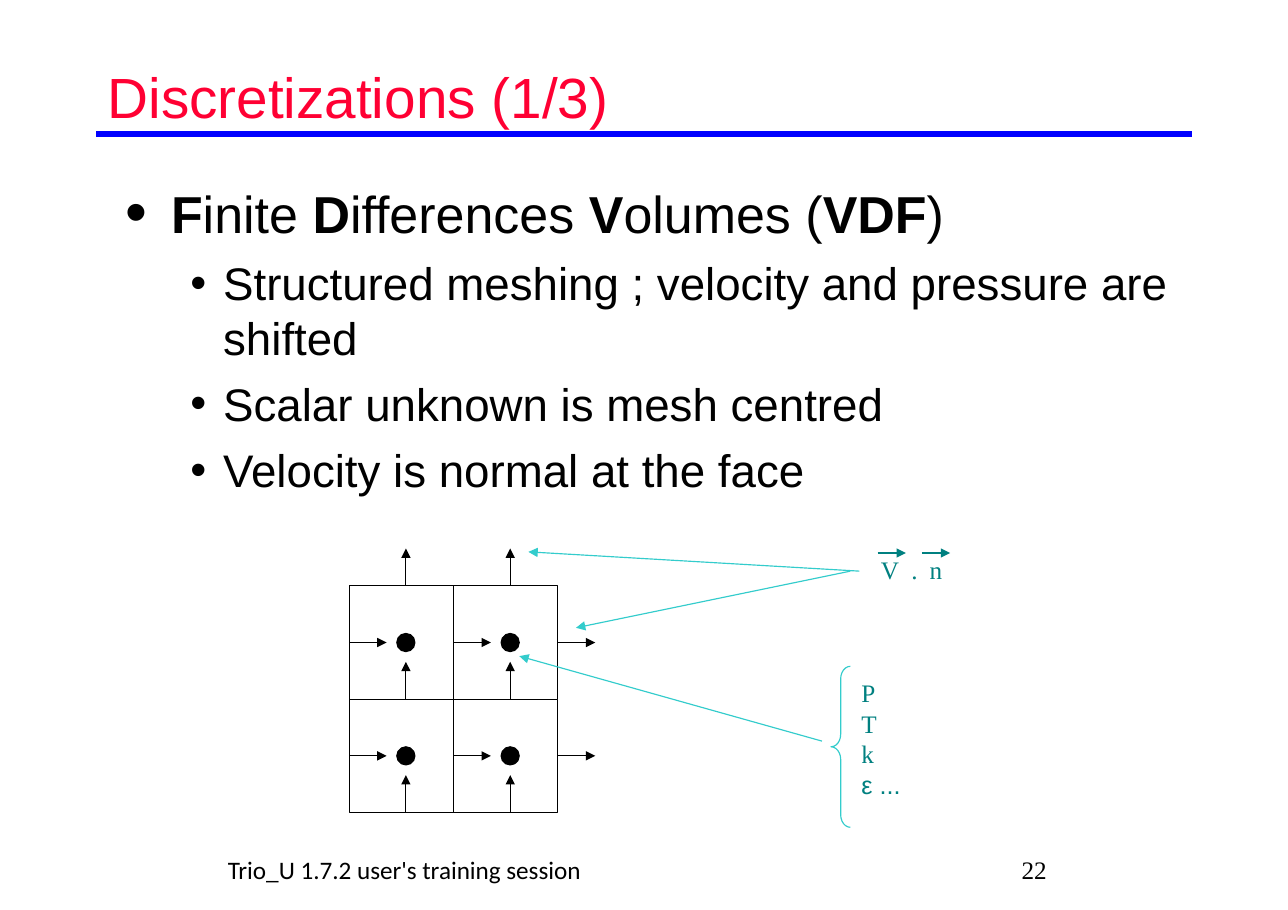
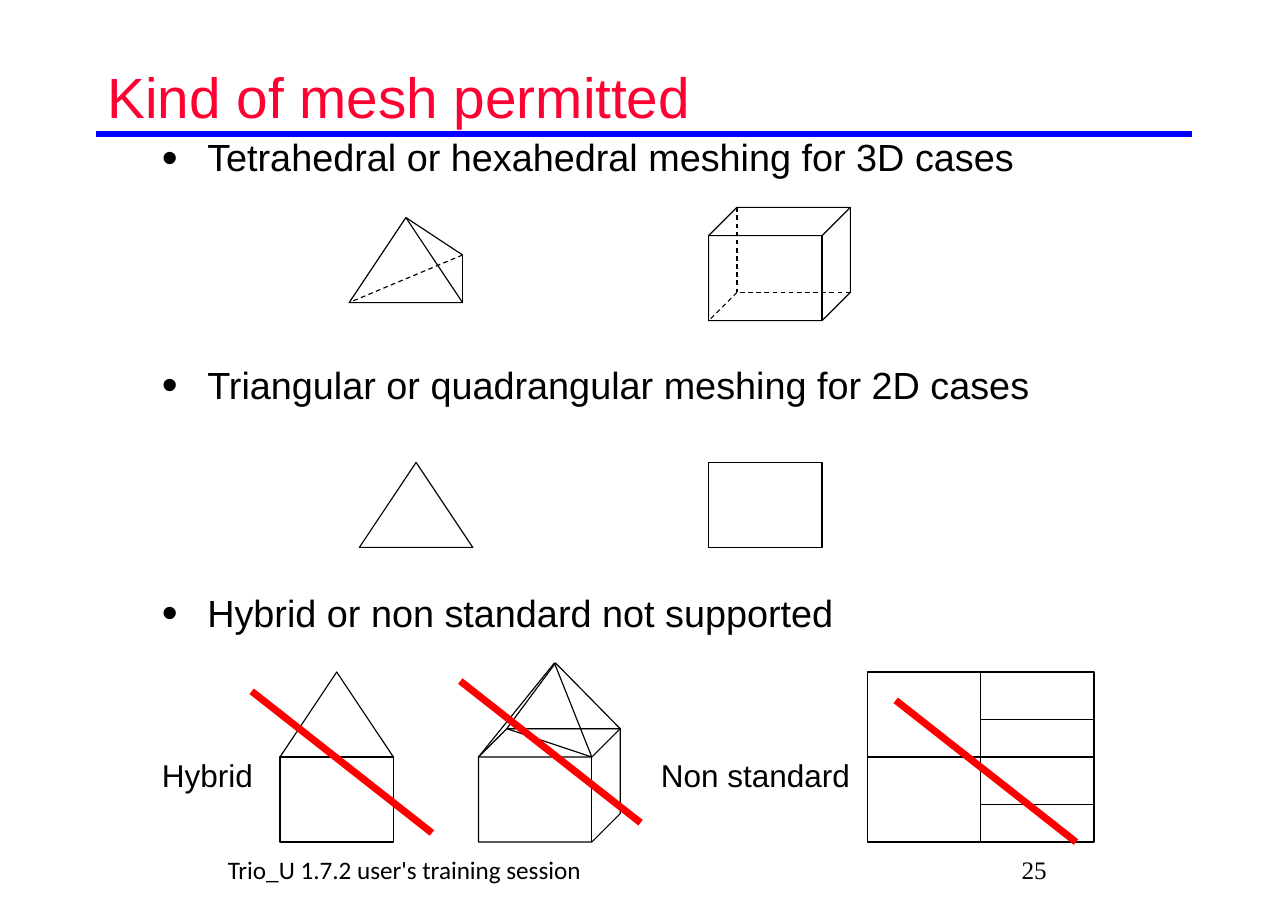
from lxml import etree
from pptx import Presentation
from pptx.dml.color import RGBColor
from pptx.enum import dml, shapes, text
from pptx.oxml.ns import qn
from pptx.util import Inches, Pt

HUES = dict(title="FF0033", rule="0000FF", ink="000000", paper="FFFFFF",
            aqua="33CCCC", teal="008080", strike="FF0000")
SANS, SERIF, FOOT = "Arial", "Times New Roman", "Calibri"
KIND = shapes.MSO_SHAPE
MID = text.MSO_ANCHOR.MIDDLE

FOOTER = "Trio_U 1.7.2 user's training session"
SCHEME = [("F", True), ("inite ", False), ("D", True), ("ifferences ", False),
          ("V", True), ("olumes (", False), ("VDF", True), (")", False)]
POINTS = ["Structured meshing ; velocity and pressure are shifted",
          "Scalar unknown is mesh centred",
          "Velocity is normal at the face"]
SCALARS = [("P", SERIF), ("T", SERIF), ("k", SERIF), ("ε ...", SANS)]
MESHES = ["Tetrahedral or hexahedral meshing for 3D cases",
          "Triangular or quadrangular meshing for 2D cases",
          "Hybrid or non standard not supported"]
LABELS = [("Hybrid", 1.33), ("Non standard", 5.73)]

# Arrows from the labels to the mesh: start, end, colour
LINKS = [((7.25, 6.54), (4.58, 5.79), "aqua"),
         ((7.58, 5.04), (4.66, 4.87), "aqua"),
         ((7.5, 5.04), (5.08, 5.54), "aqua"),
         ((7.74, 4.88), (7.99, 4.88), "teal"),
         ((8.13, 4.88), (8.38, 4.88), "teal")]

# Outlines: kind, left, top, width, height, adjustment
OUTLINES = [
    (KIND.ISOSCELES_TRIANGLE, 3.08, 1.92, 1, 0.75, 0.5),
    (KIND.CUBE, 6.25, 1.83, 1.25, 1, 0.25),
    (KIND.ISOSCELES_TRIANGLE, 3.17, 4.08, 1, 0.75, 0.5),
    (KIND.RECTANGLE, 6.25, 4.08, 1, 0.75, None),
    (KIND.RECTANGLE, 2.47, 6.68, 1, 0.75, None),
    (KIND.ISOSCELES_TRIANGLE, 2.47, 5.93, 1, 0.75, 0.5),
    (KIND.CUBE, 4.22, 6.43, 1.25, 1, 0.25),
    (KIND.ISOSCELES_TRIANGLE, 4.47, 5.85, 1, 0.58, 0.43),
    (KIND.RECTANGLE, 7.65, 5.93, 1, 0.75, None),
    (KIND.RECTANGLE, 7.65, 6.68, 1, 0.75, None),
    (KIND.RECTANGLE, 8.65, 5.93, 1, 0.75, None),
    (KIND.RECTANGLE, 8.65, 6.35, 1, 0.75, None),
    (KIND.RECTANGLE, 8.65, 6.68, 1, 0.75, None),
]
# Edges: start, end, hidden
EDGES = [
    ((3.58, 1.92), (4.08, 2.25), False),
    ((4.08, 2.25), (4.08, 2.67), False),
    ((4.08, 2.25), (3.08, 2.67), True),
    ((6.5, 1.83), (6.5, 2.58), True),
    ((6.5, 2.58), (6.25, 2.83), True),
    ((7.5, 2.58), (6.5, 2.58), True),
    ((4.47, 6.43), (5.22, 6.68), False),
    ((4.89, 5.85), (5.22, 6.68), False),
    ((4.89, 5.85), (4.22, 6.68), False),
]
STRIKES = [(2.22, 6.1), (4.06, 6.01), (7.9, 6.18)]


def hue(name):
    return RGBColor.from_string(HUES[name])


def add_line(slide, start, end, color="ink", width=0.75, arrow=False, dash=False):
    line = slide.shapes.add_connector(
        shapes.MSO_CONNECTOR.STRAIGHT, *map(Inches, (*start, *end)))
    line.line.color.rgb = hue(color)
    line.line.width = Pt(width)
    if dash:
        line.line.dash_style = dml.MSO_LINE.DASH
    if arrow:
        etree.SubElement(line.line._get_or_add_ln(), qn("a:tailEnd"), type="triangle")
    etree.SubElement(line._element.spPr, qn("a:effectLst"))


def add_form(slide, kind, box, color="ink", fill=None, adjust=()):
    form = slide.shapes.add_shape(kind, *map(Inches, box))
    form.shadow.inherit = False
    form.line.color.rgb = hue(color)
    form.line.width = Pt(0.75)
    if fill:
        form.fill.solid()
        form.fill.fore_color.rgb = hue(fill)
    else:
        form.fill.background()
    for i, value in enumerate(adjust):
        form.adjustments[i] = value


def add_box(slide, box, anchor=text.MSO_ANCHOR.TOP, pad=(0.1, 0.05)):
    frame = slide.shapes.add_textbox(*map(Inches, box)).text_frame
    frame.word_wrap = True
    frame.vertical_anchor = anchor
    frame.margin_left = frame.margin_right = Inches(pad[0])
    frame.margin_top = frame.margin_bottom = Inches(pad[1])
    return frame


def add_para(frame, runs, size, font=SANS, color="ink", before=0, lines=None,
             bullet=None, tabs=()):
    """Fill the empty first paragraph or add one; bullet is (margin, hang, percent)."""
    first = not frame.paragraphs[0].runs
    para = frame.paragraphs[0] if first else frame.add_paragraph()
    props = para._p.get_or_add_pPr()
    if bullet:
        margin, hang, scale = bullet
        props.set("marL", str(Inches(margin)))
        props.set("indent", str(-Inches(hang)))
        tint = etree.SubElement(props, qn("a:buClr"))
        etree.SubElement(tint, qn("a:srgbClr"), val=HUES["ink"])
        etree.SubElement(props, qn("a:buSzPct"), val=str(scale * 1000))
        etree.SubElement(props, qn("a:buFont"), typeface=SANS)
        etree.SubElement(props, qn("a:buChar"), char="•")
    if tabs:
        stops = etree.SubElement(props, qn("a:tabLst"))
        for stop in tabs:
            etree.SubElement(stops, qn("a:tab"), pos=str(Inches(stop)), algn="l")
    if before and not first:
        para.space_before = Pt(before)
    if lines:
        para.line_spacing = lines
    para.font.size = Pt(size)
    para.font.name = font
    para.font.color.rgb = hue(color)
    for words, bold in [(runs, None)] if isinstance(runs, str) else runs:
        run = para.add_run()
        run.text = words
        if bold:
            run.font.bold = True


def add_page(deck, title, number):
    """Add a slide with the shared title, rule and footer."""
    slide = deck.slides.add_slide(deck.slide_layouts[6])
    add_para(add_box(slide, (0.85, 0.27, 9.65, 1.16), MID), title, 36, color="title")
    add_line(slide, (0.85, 1.18), (10.51, 1.18), "rule", 4)
    for words, left, width, font in [(FOOTER, 1.9, 7.1, FOOT),
                                     (str(number), 8.9, 2.3, SERIF)]:
        frame = add_box(slide, (left, 7.41, width, 0.53), MID, (0.11, 0.06))
        add_para(frame, words, 16, font)
    return slide


def draw_grid(slide, left=3.08, top=5.17, wide=0.92, high=1, reach=0.33, dot=0.16):
    """Draw a 2 by 2 mesh with centre dots and an arrow across each face."""
    for row in range(2):
        for col in range(2):
            x, y = left + col * wide, top + row * high
            midx, midy = x + 0.5, y + high / 2
            add_form(slide, KIND.RECTANGLE, (x, y, wide, high), fill="paper")
            add_form(slide, KIND.OVAL, (midx - dot / 2, midy - dot / 2, dot, dot),
                     fill="ink")
            for face in [x] + [x + wide] * (col == 1):
                add_line(slide, (face, midy), (face + reach, midy), arrow=True)
            for face in [y + high] + [y] * (row == 0):
                add_line(slide, (midx, face), (midx, face - reach), arrow=True)


def build_schemes(deck):
    slide = add_page(deck, "Discretizations (1/3)", 22)
    body = add_box(slide, (1.01, 1.55, 9.65, 3.2))
    add_para(body, SCHEME, 33, bullet=(0.4, 0.4, 120))
    for point in POINTS:
        add_para(body, point, 29, before=7.2, bullet=(0.86, 0.29, 100))
    draw_grid(slide)
    for start, end, color in LINKS:
        add_line(slide, start, end, color, arrow=True)
    add_form(slide, KIND.LEFT_BRACE, (7.33, 5.88, 0.17, 1.42), "aqua",
             adjust=(0.65, 0.5))
    list_box = add_box(slide, (7.5, 6.04, 1.17, 1.05))
    for name, font in SCALARS:
        add_para(list_box, name, 16, font, "teal", before=10, lines=0.5)
    add_para(add_box(slide, (7.67, 4.96, 1.17, 0.24)), "V\t.\tn", 16, SERIF, "teal",
             lines=0.5, tabs=(0.27, 0.43))


def build_meshes(deck):
    slide = add_page(deck, "Kind of mesh permitted", 25)
    body = add_box(slide, (1.33, 1.18, 9.5, 4.82))
    for mesh in MESHES:
        add_para(body, mesh, 24, before=118.8, lines=0.9, bullet=(0.4, 0.4, 120))
    for label, left in LABELS:
        add_para(add_box(slide, (left, 6.64, 2, 0.4), MID), label, 20)
    for kind, *box, bend in OUTLINES:
        add_form(slide, kind, box, adjust=() if bend is None else (bend,))
    for start, end, hidden in EDGES:
        add_line(slide, start, end, dash=hidden)
    for x, y in STRIKES:
        add_line(slide, (x, y), (x + 1.59, y + 1.25), "strike", 4.5)


def main():
    deck = Presentation()
    deck.slide_width, deck.slide_height = Inches(11.36), Inches(8.03)
    build_schemes(deck)
    build_meshes(deck)
    deck.save("out.pptx")


if __name__ == "__main__":
    main()
